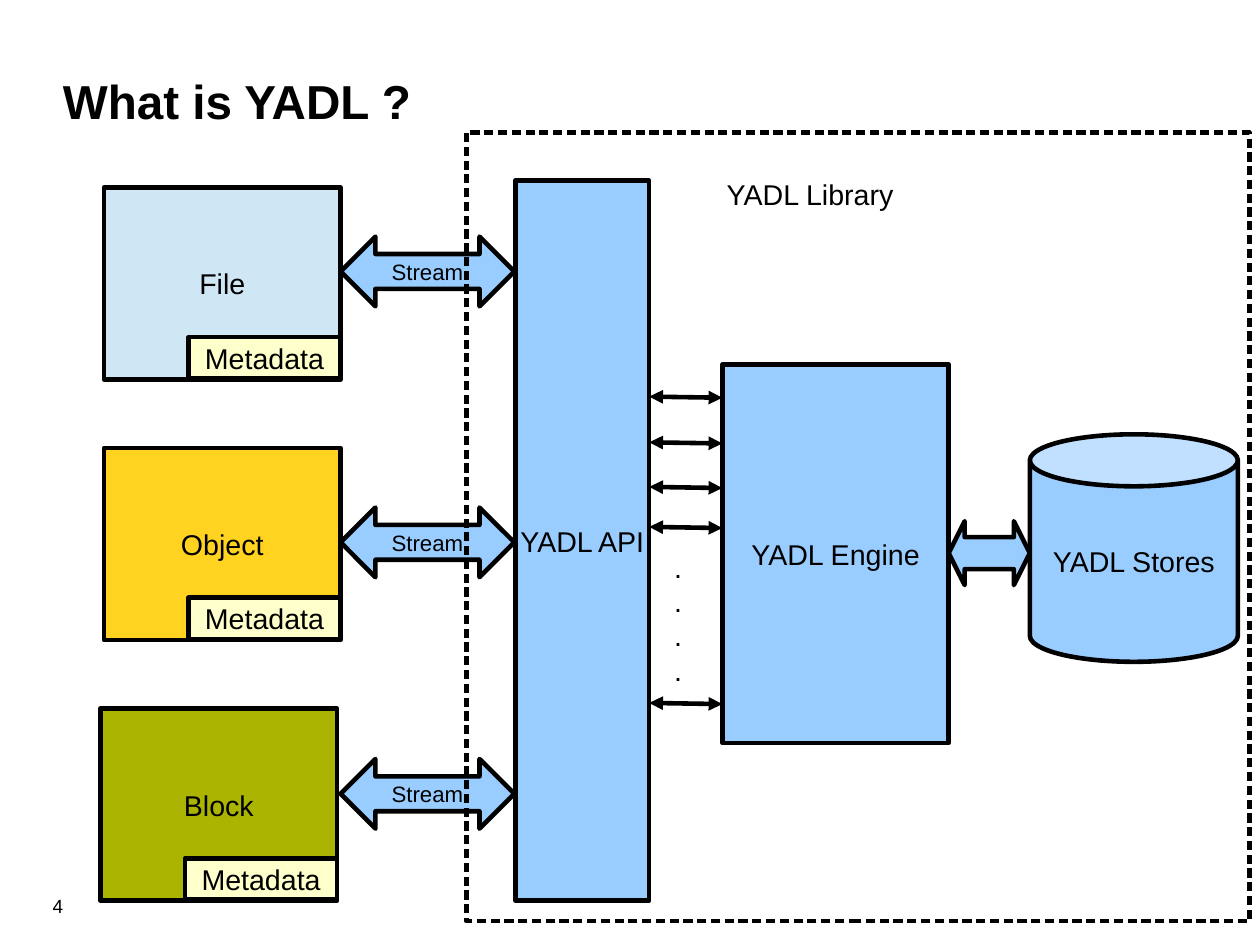
from typing import NamedTuple

import pptx
import pptx.dml.color
import pptx.enum.shapes
import pptx.enum.text
import pptx.oxml
import pptx.oxml.ns
import pptx.util
from pptx.util import Inches

RGBColor = pptx.dml.color.RGBColor
BLACK = RGBColor(0x00, 0x00, 0x00)
BLUE = RGBColor(0x99, 0xCC, 0xFF)
PALE_BLUE = RGBColor(0xCF, 0xE7, 0xF5)
YELLOW = RGBColor(0xFF, 0xD3, 0x20)
OLIVE = RGBColor(0xAB, 0xB4, 0x00)
CREAM = RGBColor(0xFF, 0xFF, 0xCC)

Kind = pptx.enum.shapes.MSO_SHAPE
Align = pptx.enum.text.PP_ALIGN
Anchor = pptx.enum.text.MSO_ANCHOR
LINE_WIDTH = pptx.util.Pt(2.89)
NAMESPACE = pptx.oxml.ns.nsdecls("a")


class Block(NamedTuple):
    left: float
    top: float
    width: float
    height: float
    fill: RGBColor | None
    label: str = ""
    kind: Kind = Kind.RECTANGLE
    size: int = 18
    adjustments: tuple[float, ...] = ()


class Source(NamedTuple):
    label: str
    left: float
    top: float
    fill: RGBColor
    stream_top: float


SOURCE_WIDTH, SOURCE_HEIGHT = 2.07, 1.68
METADATA_WIDTH, METADATA_HEIGHT = 1.33, 0.36
SOURCES = [
    Source("File", 0.91, 1.64, PALE_BLUE, 2.07),
    Source("Object", 0.91, 3.92, YELLOW, 4.44),
    Source("Block", 0.88, 6.2, OLIVE, 6.64),
]
LIBRARY_PARTS = [
    Block(4.51, 1.58, 1.17, 6.3, BLUE, "YADL API"),
    Block(6.32, 3.19, 1.98, 3.31, BLUE, "YADL Engine"),
    Block(9.01, 3.8, 1.82, 1.99, BLUE, "YADL Stores", Kind.CAN, 18, (0.25,)),
    Block(8.3, 4.56, 0.71, 0.56, BLUE, "", Kind.LEFT_RIGHT_ARROW, 18, (0.5, 0.25)),
]
CALL_TOPS = [3.47, 3.87, 4.26, 4.61, 6.15]


def set_font(paragraph, size: float, bold: bool = False) -> None:
    paragraph.font.name = "Arial"
    paragraph.font.size = pptx.util.Pt(size)
    paragraph.font.bold = bold
    paragraph.font.color.rgb = BLACK


def add_block(slide, block: Block):
    shape = slide.shapes.add_shape(
        block.kind, Inches(block.left), Inches(block.top),
        Inches(block.width), Inches(block.height))
    shape.shadow.inherit = False
    for index, value in enumerate(block.adjustments):
        shape.adjustments[index] = value
    if block.fill is None:
        shape.fill.background()
    else:
        shape.fill.solid()
        shape.fill.fore_color.rgb = block.fill
    shape.line.color.rgb = BLACK
    shape.line.width = LINE_WIDTH
    if block.label:
        frame = shape.text_frame
        frame.word_wrap = False
        frame.vertical_anchor = Anchor.MIDDLE
        paragraph = frame.paragraphs[0]
        paragraph.text = block.label
        paragraph.alignment = Align.CENTER
        set_font(paragraph, block.size)
    return shape


def add_label(slide, left: float, top: float, width: float, height: float,
              lines: list[str], size: float = 18):
    frame = slide.shapes.add_textbox(
        Inches(left), Inches(top), Inches(width), Inches(height)).text_frame
    frame.word_wrap = True
    frame.text = "\n".join(lines)
    for paragraph in frame.paragraphs:
        set_font(paragraph, size)
    return frame


def remove_margins(frame) -> None:
    frame.margin_left = frame.margin_right = 0
    frame.margin_top = frame.margin_bottom = 0


def add_call(slide, left: float, right: float, top: float) -> None:
    connector = slide.shapes.add_connector(
        pptx.enum.shapes.MSO_CONNECTOR.STRAIGHT,
        Inches(left), Inches(top), Inches(right), Inches(top + 0.01))
    connector.line.color.rgb = BLACK
    connector.line.width = LINE_WIDTH
    properties = connector.element.spPr
    outline = properties.find(pptx.oxml.ns.qn("a:ln"))
    for end in ("a:headEnd", "a:tailEnd"):
        outline.append(pptx.oxml.parse_xml(f'<{end} {NAMESPACE} type="triangle"/>'))
    properties.append(pptx.oxml.parse_xml(f"<a:effectLst {NAMESPACE}/>"))


def main() -> None:
    presentation = pptx.Presentation()
    presentation.slide_width = pptx.util.Cm(28)
    presentation.slide_height = pptx.util.Cm(21)
    slide = presentation.slides.add_slide(presentation.slide_layouts[5])

    # Title and page number
    title = slide.shapes.title
    title.left, title.top = Inches(0.55), Inches(0.25)
    title.width, title.height = Inches(9.92), Inches(1.25)
    title.text_frame.text = "What is YADL ?"
    title.text_frame.vertical_anchor = Anchor.MIDDLE
    remove_margins(title.text_frame)
    title.text_frame.paragraphs[0].alignment = Align.LEFT
    set_font(title.text_frame.paragraphs[0], 30, bold=True)
    remove_margins(add_label(slide, 0.46, 7.83, 1.25, 0.25, ["4"], 12))

    # Data sources, each with metadata in its lower right corner
    for source in SOURCES:
        add_block(slide, Block(source.left, source.top, SOURCE_WIDTH,
                               SOURCE_HEIGHT, source.fill, source.label))
        add_block(slide, Block(
            source.left + SOURCE_WIDTH - METADATA_WIDTH,
            source.top + SOURCE_HEIGHT - METADATA_HEIGHT - 0.01,
            METADATA_WIDTH, METADATA_HEIGHT, CREAM, "Metadata"))

    # Library parts and the streams into the API
    for part in LIBRARY_PARTS:
        add_block(slide, part)
    for source in SOURCES:
        add_block(slide, Block(2.98, source.stream_top, 1.52, 0.61, BLUE, "Stream",
                               Kind.LEFT_RIGHT_ARROW, 14, (0.5, 0.5)))

    # Calls between API and engine
    for top in CALL_TOPS:
        add_call(slide, 5.68, 6.32, top)
    add_label(slide, 5.8, 4.76, 0.41, 1.5, ["."] * 4)

    # Library boundary with short dashes
    boundary = add_block(slide, Block(4.08, 1.16, 6.85, 6.9, None))
    outline = boundary.element.spPr.find(pptx.oxml.ns.qn("a:ln"))
    outline.append(pptx.oxml.parse_xml(
        f'<a:custDash {NAMESPACE}><a:ds d="200000" sp="100000"/></a:custDash>'))
    add_label(slide, 6.26, 1.5, 2.21, 0.38, ["YADL Library"])

    presentation.save("out.pptx")


if __name__ == "__main__":
    main()
